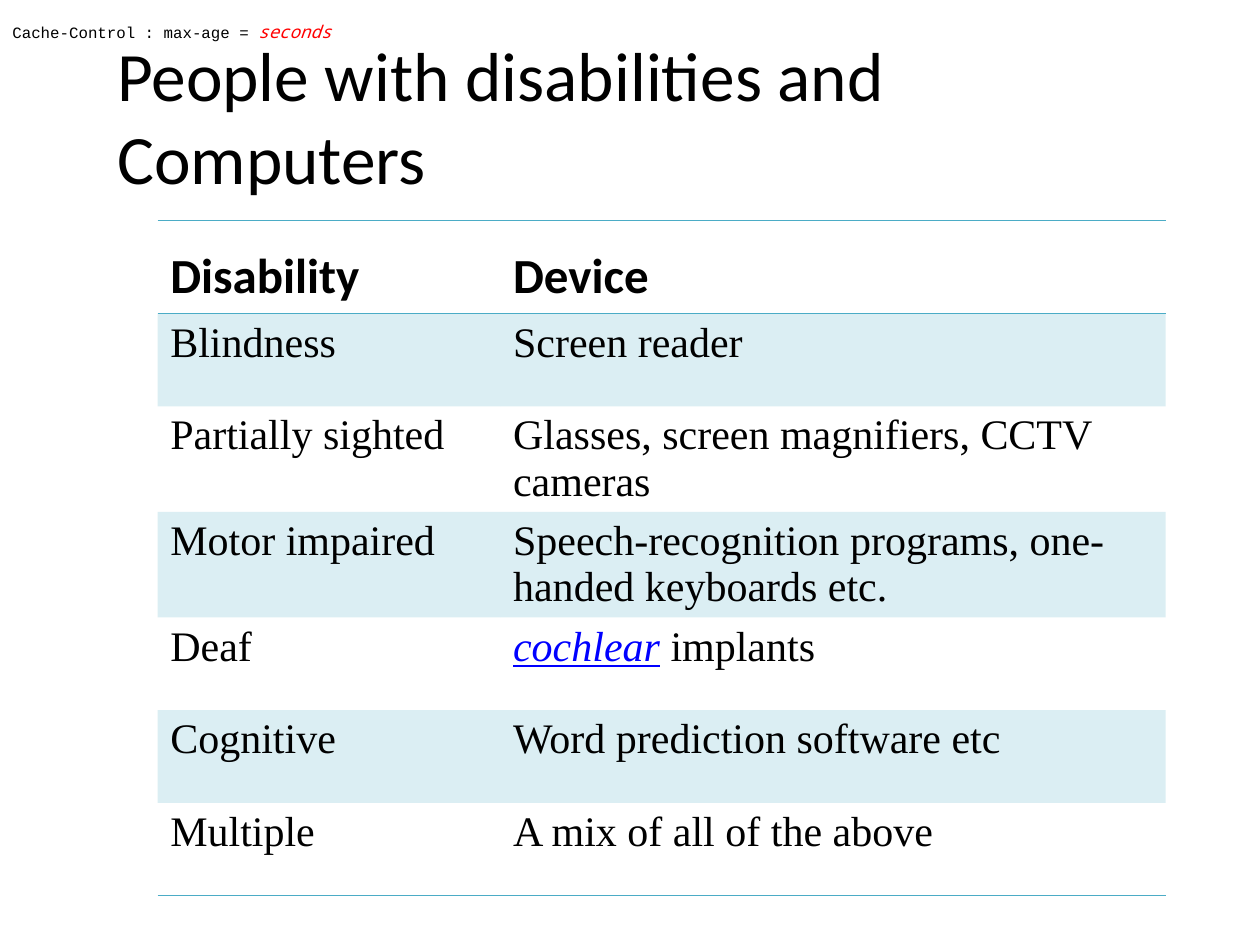
from lxml.etree import SubElement as Sub
from pptx import Presentation
from pptx.dml.color import RGBColor as RGB
from pptx.enum.text import MSO_ANCHOR as Anchor, PP_ALIGN as Align
from pptx.oxml.ns import qn
from pptx.util import Cm, Pt

HUES = {"ink": "000000", "teal": "4BACC6", "link": "0000FF", "red": "FF0000"}
PLAIN = "{2D5ABB26-0587-4C30-8999-92F81FD0307C}"
ROWS = [
    ("Disability", "Device"),
    ("Blindness", "Screen reader"),
    ("Partially sighted", "Glasses, screen magnifiers, CCTV cameras"),
    ("Motor impaired", "Speech-recognition programs, one-handed keyboards etc."),
    ("Deaf", "cochlear implants"),
    ("Cognitive", "Word prediction software etc"),
    ("Multiple", "A mix of all of the above"),
]
LINK = "cochlear"


def style(font, name, size, hue="ink", bold=False):
    """Set the face, size, colour and weight of a font."""
    font.name, font.size, font.bold = name, Pt(size), bold
    font.color.rgb = RGB.from_string(HUES[hue])


def add_title(slide, text):
    """Place and format the title."""
    title = slide.shapes.title
    title.left, title.top = Cm(2.11), Cm(0.74)
    title.width, title.height = Cm(22.43), Cm(3.18)
    frame = title.text_frame
    frame.text, frame.word_wrap = text, True
    frame.vertical_anchor, frame.margin_right = Anchor.MIDDLE, Cm(0.5)
    para = frame.paragraphs[0]
    para.alignment = Align.LEFT
    style(para.font, "Calibri", 39.6)


def add_rule(cell, side):
    """Draw a thin teal border on one side (lnT or lnB) of a cell."""
    line = Sub(cell._tc.get_or_add_tcPr(), qn("a:" + side), w=str(Pt(1)))
    fill = Sub(line, qn("a:solidFill"))
    Sub(fill, qn("a:srgbClr"), val=HUES["teal"])


def tint(cell):
    """Fill a cell with teal at 20 percent opacity."""
    cell.fill.solid()
    cell.fill.fore_color.rgb = RGB.from_string(HUES["teal"])
    hue = cell._tc.tcPr.find(".//" + qn("a:srgbClr"))
    Sub(hue, qn("a:alpha"), val="20000")


def fill_cell(cell, text, row):
    """Write one cell with the rules, band and font of its row."""
    if row == 0:
        add_rule(cell, "lnT")
    if row in (0, len(ROWS) - 1):
        add_rule(cell, "lnB")
    if row % 2:
        tint(cell)
    else:
        cell.fill.background()
    para = cell.text_frame.paragraphs[0]
    if row == 0:
        cell.vertical_anchor = Anchor.BOTTOM
        style(para.font, "Calibri", 28, bold=True)
    else:
        style(para.font, "Times New Roman", 24)
    if text.startswith(LINK):
        run = para.add_run()
        run.text = LINK
        run.font.italic = run.font.underline = True
        run.font.color.rgb = RGB.from_string(HUES["link"])
        text = text[len(LINK):]
    para.add_run().text = text


def add_grid(slide):
    """Add the table of disabilities and devices."""
    frame = slide.shapes.add_table(
        len(ROWS), 2, Cm(3.18), Cm(4.45), Cm(20.32), Cm(1.87 * len(ROWS)))
    table = frame.table
    table.first_row = table.horz_banding = False
    table._tbl.tblPr.find(qn("a:tableStyleId")).text = PLAIN
    for col, width in zip(table.columns, (6.91, 13.41)):
        col.width = Cm(width)
    for row, texts in enumerate(ROWS):
        for col, text in enumerate(texts):
            fill_cell(table.cell(row, col), text, row)


def add_note(slide):
    """Add the cache header line at the top edge."""
    box = slide.shapes.add_textbox(0, 0, Cm(25.4), Cm(1.27))
    frame = box.text_frame
    frame.word_wrap, frame.vertical_anchor = True, Anchor.MIDDLE
    para = frame.paragraphs[0]
    lead, value = para.add_run(), para.add_run()
    lead.text, value.text = "Cache-Control : max-age = ", "seconds"
    style(lead.font, "Courier New", 9)
    style(value.font, "Noto Sans Mono", 10, "red")
    value.font.italic = True


def main():
    """Build and save the slide."""
    deck = Presentation()
    deck.slide_width, deck.slide_height = Cm(25.4), Cm(19.05)
    slide = deck.slides.add_slide(deck.slide_layouts[5])
    add_title(slide, "People with disabilities and Computers")
    add_grid(slide)
    add_note(slide)
    deck.save("out.pptx")


main()
